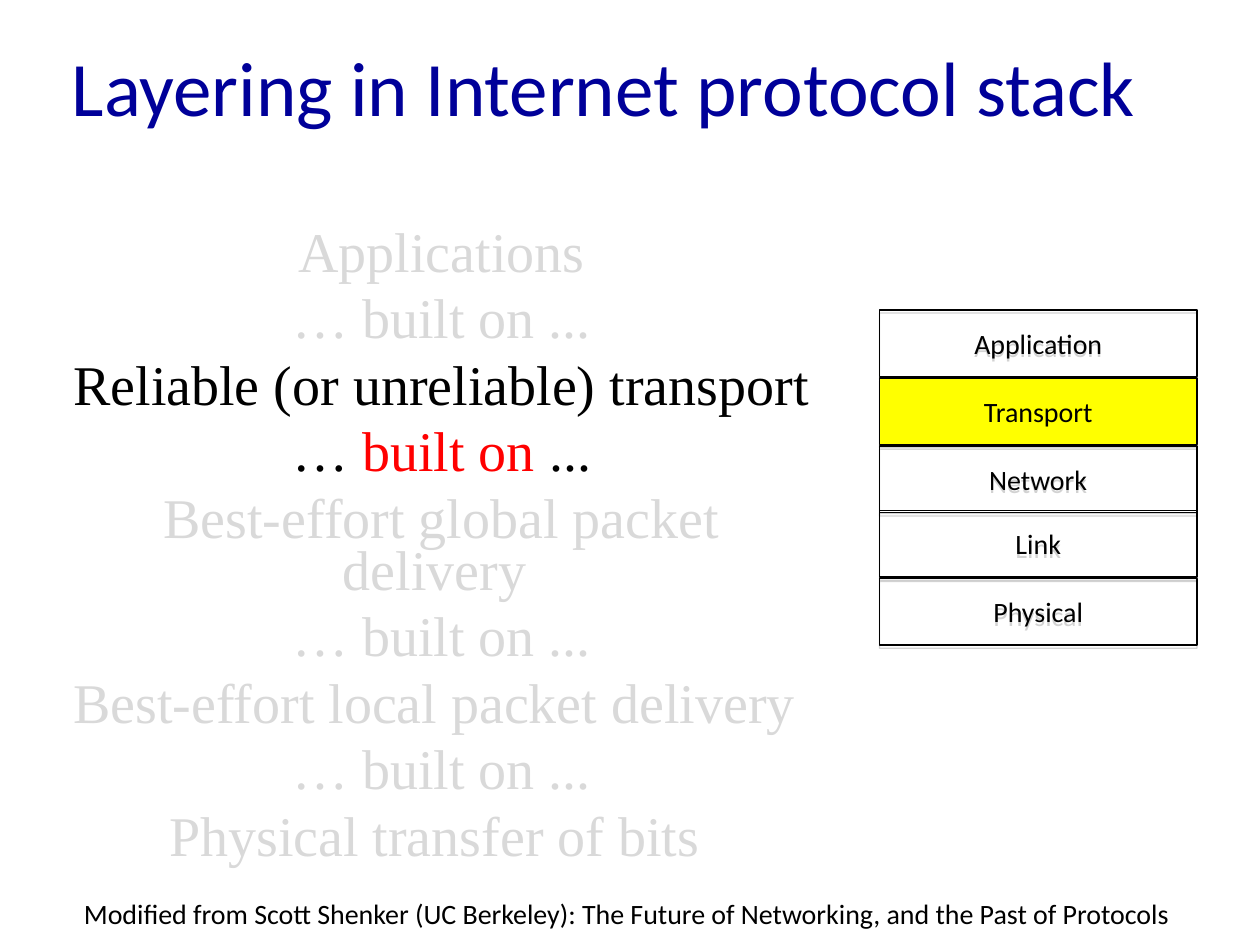
from lxml.etree import SubElement
from pptx import Presentation
from pptx.dml.color import RGBColor
from pptx.enum.shapes import MSO_SHAPE
from pptx.enum.text import MSO_ANCHOR, PP_ALIGN
from pptx.oxml.ns import qn
from pptx.util import Inches, Pt

THEME = {
    "title": "000099", "text": "000000", "muted": "D9D9D9", "accent": "FF0000",
    "highlight": "FFFF00", "shadow": "808080",
    "sans": "Calibri", "serif": "Times New Roman",
    "title_size": 44, "body_size": 32, "label_size": 16,
}

TITLE = "Layering in Internet protocol stack"
BUILT_ON = [("… built on ...", "muted")]
STATEMENTS = [
    [("Applications", "muted")],
    BUILT_ON,
    [("Reliable (or unreliable) transport ", "text")],
    [("… ", "text"), ("built on ", "accent"), ("...", "text")],
    [("Best-effort global packet delivery ", "muted")],
    BUILT_ON,
    [("Best-effort local packet delivery ", "muted")],
    BUILT_ON,
    [("Physical transfer of bits ", "muted")],
]
LAYERS = [("Application", 2.46), ("Transport", 3), ("Network", 3.54),
          ("Link", 4.05), ("Physical", 4.59)]
CURRENT_LAYER = "Transport"
CREDIT = ("Modified from Scott Shenker (UC Berkeley): "
          "The Future of Networking, and the Past of Protocols")


def color(name):
    return RGBColor.from_string(THEME[name])


def add_run(p, text, font, size, fill):
    r = p.add_run()
    r.text = text
    r.font.name = THEME[font]
    r.font.size = Pt(THEME[size])
    r.font.color.rgb = color(fill)


def add_label(tf, text):
    p = tf.paragraphs[0]
    p.alignment = PP_ALIGN.CENTER
    add_run(p, text, "sans", "label_size", "text")


def add_drop_shadow(sp):
    sp.shadow.inherit = False
    effects = sp._element.spPr.find(qn("a:effectLst"))
    shadow = SubElement(effects, qn("a:outerShdw"), blurRad="0",
                        dist=str(Pt(1.8)), dir="5400000", rotWithShape="0")
    tint = SubElement(shadow, qn("a:srgbClr"), val=THEME["shadow"])
    SubElement(tint, qn("a:alpha"), val="35000")


def add_title(s):
    sp = s.shapes.title
    sp.left, sp.top, sp.width, sp.height = map(Inches, (0.47, 0.12, 9.25, 1.12))
    tf = sp.text_frame
    tf.vertical_anchor = MSO_ANCHOR.MIDDLE
    p = tf.paragraphs[0]
    p.alignment = PP_ALIGN.LEFT
    add_run(p, TITLE, "sans", "title_size", "title")


def add_statements(s):
    tf = s.shapes.add_textbox(*map(Inches, (0.47, 1.78, 6.07, 5.08))).text_frame
    tf.word_wrap = True
    for i, runs in enumerate(STATEMENTS):
        p = tf.add_paragraph() if i else tf.paragraphs[0]
        p.alignment = PP_ALIGN.CENTER
        p.line_spacing = 0.78
        p.space_before = Pt(8 if i else 0)
        for text, fill in runs:
            add_run(p, text, "serif", "body_size", fill)


def add_layer(s, name, top):
    sp = s.shapes.add_shape(MSO_SHAPE.RECTANGLE,
                            *map(Inches, (6.98, top, 2.52, 0.53)))
    if name == CURRENT_LAYER:
        sp.fill.solid()
        sp.fill.fore_color.rgb = color("highlight")
    else:
        sp.fill.background()
    sp.line.color.rgb = color("text")
    sp.line.width = Pt(0.75)
    add_drop_shadow(sp)
    sp.text_frame.vertical_anchor = MSO_ANCHOR.MIDDLE
    add_label(sp.text_frame, name)


def main():
    prs = Presentation()
    prs.slide_width, prs.slide_height = Inches(10), Inches(7.5)
    s = prs.slides.add_slide(prs.slide_layouts[5])
    add_title(s)
    add_statements(s)
    for name, top in LAYERS:
        add_layer(s, name, top)
    credit = s.shapes.add_textbox(*map(Inches, (0.33, 7.07, 9.29, 0.4)))
    credit.text_frame.word_wrap = True
    add_label(credit.text_frame, CREDIT)
    prs.save("out.pptx")


if __name__ == "__main__":
    main()
